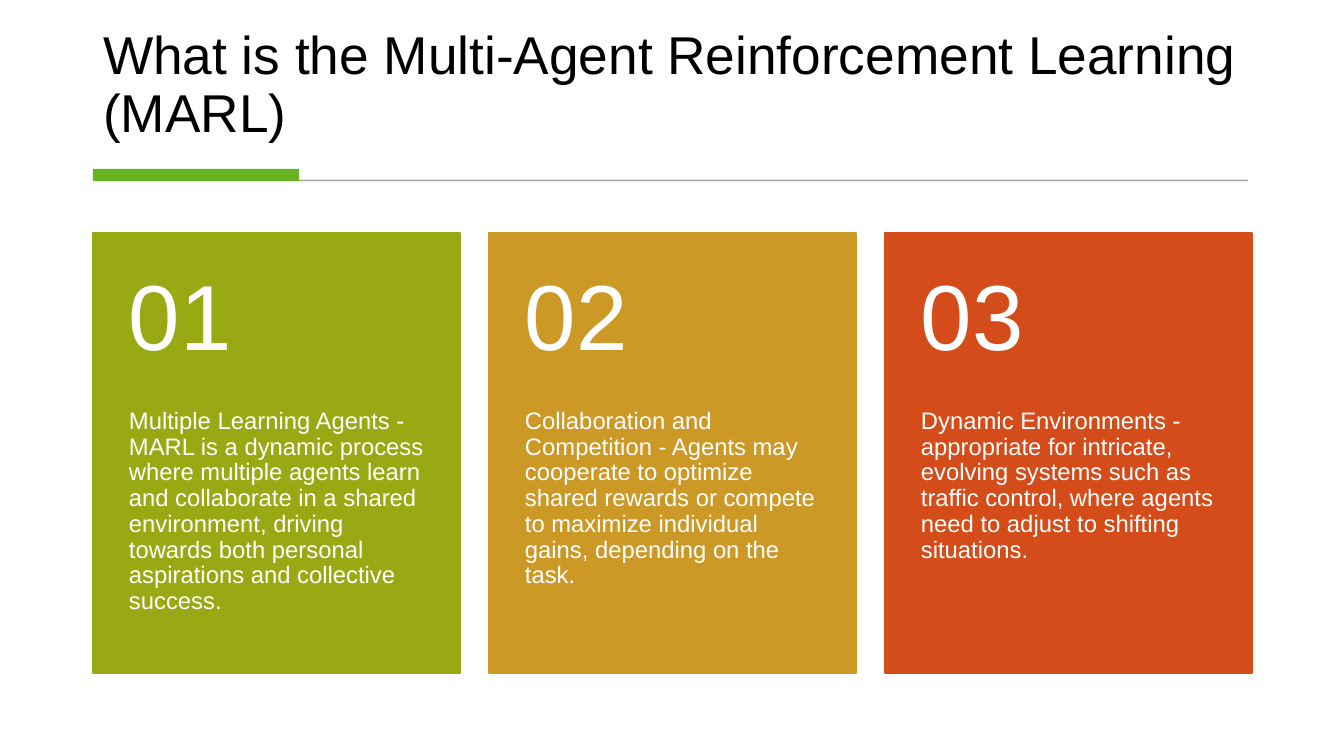
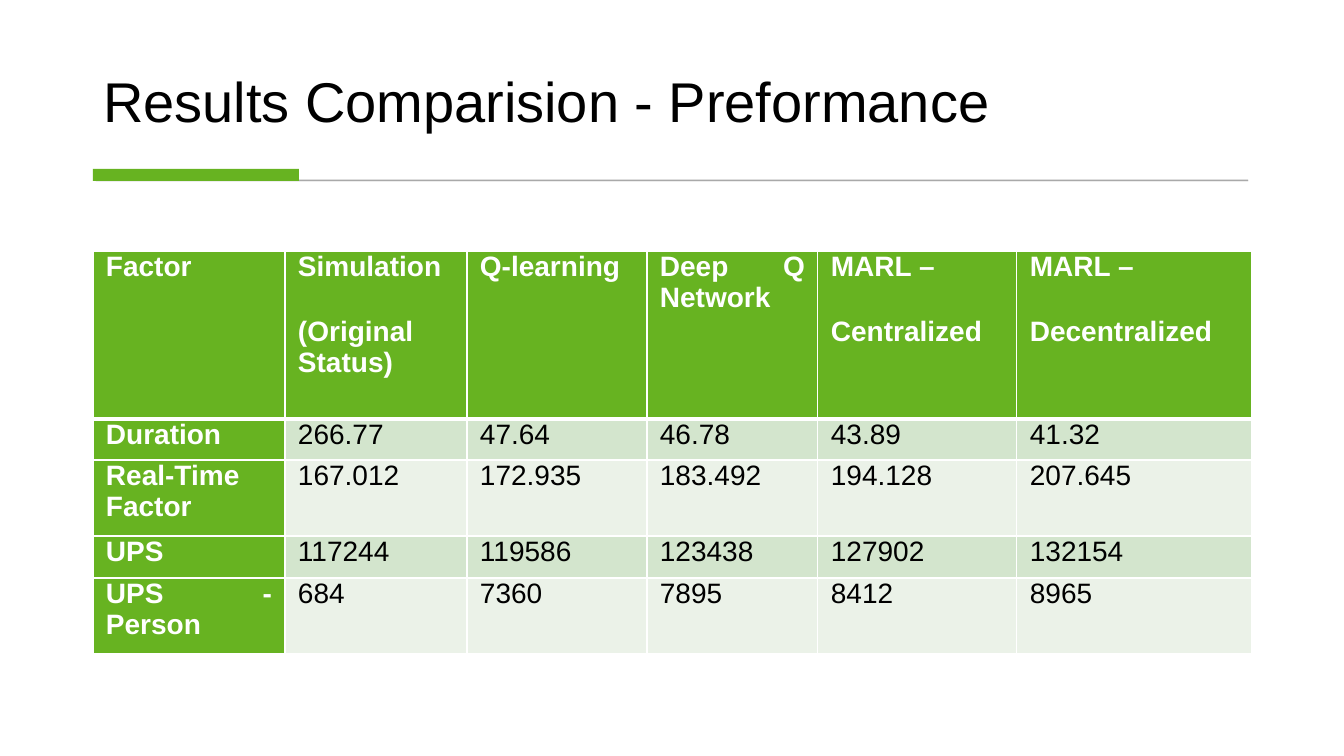
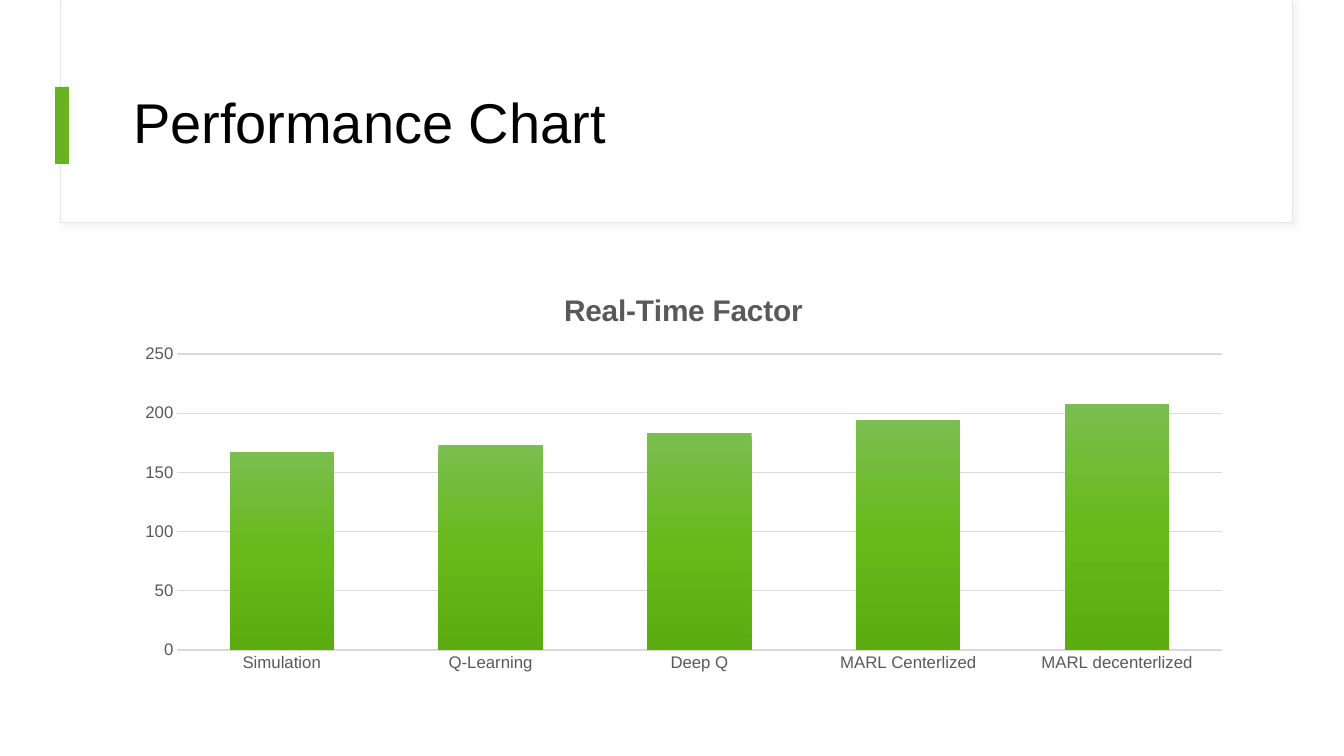
from dataclasses import dataclass
from typing import Optional

from lxml import etree
from pptx import Presentation
from pptx import util as u
from pptx.chart.data import CategoryChartData
from pptx.dml.color import RGBColor
from pptx.enum import chart as ch, shapes, text
from pptx.oxml.ns import qn

EMU_PER_PX = 914400 / 100.8
FONT = "Arial"

WHITE = RGBColor(0xFF, 0xFF, 0xFF)
BLACK = RGBColor(0x00, 0x00, 0x00)
GREEN = RGBColor(0x67, 0xB3, 0x21)
GREY = RGBColor(0x59, 0x59, 0x59)
GRID = RGBColor(0xD9, 0xD9, 0xD9)
PANEL_LINE = RGBColor(0xE4, 0xE4, 0xF0)
OLIVE = RGBColor(0x99, 0xA9, 0x14)
GOLD = RGBColor(0xCC, 0x98, 0x26)
ORANGE = RGBColor(0xD4, 0x4C, 0x19)
BANDS = (RGBColor(0xD3, 0xE5, 0xCD), RGBColor(0xEB, 0xF2, 0xE8))
BAR_STOPS = (
    (0, RGBColor(0x7A, 0xBE, 0x4F)),
    (50, RGBColor(0x67, 0xBA, 0x1A)),
    (100, RGBColor(0x5B, 0xAC, 0x10)),
)


@dataclass(frozen=True)
class Box:
    x: int
    y: int
    w: int
    h: int

    def emu(self) -> tuple[u.Emu, ...]:
        return tuple(px(v) for v in (self.x, self.y, self.w, self.h))


@dataclass(frozen=True)
class Card:
    color: RGBColor
    body: str


CARDS = (
    Card(OLIVE, "Multiple Learning Agents - MARL is a dynamic process where multiple "
                "agents learn and collaborate in a shared environment, driving towards "
                "both personal aspirations and collective success."),
    Card(GOLD, "Collaboration and Competition - Agents may cooperate to optimize shared "
               "rewards or compete to maximize individual gains, depending on the task."),
    Card(ORANGE, "Dynamic Environments - appropriate for intricate, evolving systems such "
                 "as traffic control, where agents need to adjust to shifting situations."),
)
CARD_X, CARD_Y, CARD_W, CARD_H, CARD_STEP = 93, 233, 367, 440, 396
NUMBER_H = 176
CARD_INSET = 36

RESULTS = (
    ("Factor", "Simulation\n(Original Status)", "Q-learning", "Deep Q Network",
     "MARL –\nCentralized", "MARL –\nDecentralized"),
    ("Duration", "266.77", "47.64", "46.78", "43.89", "41.32"),
    ("Real-Time Factor", "167.012", "172.935", "183.492", "194.128", "207.645"),
    ("UPS", "117244", "119586", "123438", "127902", "132154"),
    ("UPS - Person", "684", "7360", "7895", "8412", "8965"),
)
COL_WIDTHS = (192, 182, 180, 171, 199, 235)
ROW_HEIGHTS = (168, 41, 76, 42, 76)

REAL_TIME_FACTOR = {
    "Simulation": 167,
    "Q-Learning": 173,
    "Deep Q": 183,
    "MARL Centerlized": 194,
    "MARL decenterlized": 208,
}


def px(n: int) -> u.Emu:
    return u.Emu(round(n * EMU_PER_PX))


def style_font(font, size: float, color: RGBColor, bold: bool = False) -> None:
    font.name, font.size, font.bold = FONT, u.Pt(size), bold
    font.color.rgb = color


def add_run(p, words: str, size: float, color: RGBColor, bold: bool = False) -> None:
    r = p.add_run()
    r.text = words
    style_font(r.font, size, color, bold)


def add_rect(s, box: Box, fill: RGBColor, line: Optional[RGBColor] = None,
             line_pt: float = 1):
    sp = s.shapes.add_shape(shapes.MSO_SHAPE.RECTANGLE, *box.emu())
    sp.shadow.inherit = False
    sp.fill.solid()
    sp.fill.fore_color.rgb = fill
    if line is None:
        sp.line.fill.background()
    else:
        sp.line.color.rgb = line
        sp.line.width = u.Pt(line_pt)
    return sp


def add_alpha(element, percent: int) -> None:
    """Make every colour inside the element partly transparent."""
    for clr in element.iter(qn("a:srgbClr")):
        etree.SubElement(clr, qn("a:alpha"), val=str(percent * 1000))


def add_soft_shadow(sp) -> None:
    effects = sp._element.spPr.find(qn("a:effectLst"))
    shadow = etree.SubElement(effects, qn("a:outerShdw"), blurRad=str(u.Pt(4)),
                              dist=str(u.Pt(3)), dir=str(45 * 60000))
    etree.SubElement(shadow, qn("a:srgbClr"), val=str(GRID))
    add_alpha(shadow, 30)


def add_text(s, box: Box, words: str, size: float, inset_top: int, inset_bottom: int,
             anchor: text.MSO_ANCHOR) -> None:
    tf = s.shapes.add_textbox(*box.emu()).text_frame
    tf.word_wrap = True
    tf.vertical_anchor = anchor
    tf.margin_left = tf.margin_right = px(CARD_INSET)
    tf.margin_top, tf.margin_bottom = px(inset_top), px(inset_bottom)
    p = tf.paragraphs[0]
    p.line_spacing = 0.9
    add_run(p, words, size, WHITE)


def set_title(s, box: Box, words: str, size: float, anchor: text.MSO_ANCHOR) -> None:
    sp = s.shapes.title
    sp.left, sp.top, sp.width, sp.height = box.emu()
    tf = sp.text_frame
    tf.word_wrap = True
    tf.auto_size = text.MSO_AUTO_SIZE.NONE
    tf.vertical_anchor = anchor
    p = tf.paragraphs[0]
    p.alignment = text.PP_ALIGN.LEFT
    p.line_spacing = 0.9
    add_run(p, words, size, BLACK)


def add_ruled_slide(prs, title: str, title_h: int, size: float):
    """Add a slide whose title stands on a grey rule with a green tab."""
    s = prs.slides.add_slide(prs.slide_layouts[5])
    set_title(s, Box(93, 28, 1159, title_h), title, size, text.MSO_ANCHOR.BOTTOM)
    rule = add_rect(s, Box(96, 180, 1152, 1), GREY, GREY, 0.75)
    add_alpha(rule._element.spPr, 30)
    add_rect(s, Box(93, 169, 206, 12), GREEN)
    return s


def add_panel_slide(prs, title: str):
    """Add a slide whose title lies in a shadowed panel hanging from the top."""
    s = prs.slides.add_slide(prs.slide_layouts[5])
    add_soft_shadow(add_rect(s, Box(61, 0, 1232, 223), WHITE, PANEL_LINE, 0.75))
    add_rect(s, Box(62, 0, 1230, 222), WHITE)
    add_rect(s, Box(55, 87, 14, 77), GREEN)
    s.shapes._spTree.append(s.shapes.title._element)
    set_title(s, Box(123, 60, 1121, 130), title, 40, text.MSO_ANCHOR.MIDDLE)
    return s


def add_card(s, index: int, card: Card) -> None:
    x = CARD_X + index * CARD_STEP
    add_rect(s, Box(x, CARD_Y, CARD_W, CARD_H), card.color, card.color)
    add_text(s, Box(x, CARD_Y + NUMBER_H, CARD_W, CARD_H - NUMBER_H), card.body, 17,
             0, CARD_INSET, text.MSO_ANCHOR.TOP)
    add_text(s, Box(x, CARD_Y, CARD_W, NUMBER_H), f"{index + 1:02}", 66,
             CARD_INSET // 2, CARD_INSET // 2, text.MSO_ANCHOR.MIDDLE)


def set_borders(cell, **widths: float) -> None:
    """Draw white cell borders; the keys are L, R, T and B, the values points."""
    tc_pr = cell._tc.get_or_add_tcPr()
    for side, width in widths.items():
        ln = etree.SubElement(tc_pr, qn(f"a:ln{side}"), w=str(u.Pt(width)))
        fill = etree.SubElement(ln, qn("a:solidFill"))
        etree.SubElement(fill, qn("a:srgbClr"), val=str(WHITE))


def fill_cell(cell, words: str, row: int, col: int) -> None:
    heading = row == 0 or col == 0
    set_borders(cell, L=1, R=1, T=3 if row == 1 else 1, B=3 if row == 0 else 1)
    cell.fill.solid()
    cell.fill.fore_color.rgb = GREEN if heading else BANDS[(row - 1) % 2]
    cell.margin_left = cell.margin_right = px(13)
    cell.margin_top = cell.margin_bottom = 0
    tf = cell.text_frame
    for i, line in enumerate(words.split("\n")):
        p = tf.add_paragraph() if i else tf.paragraphs[0]
        p.alignment = text.PP_ALIGN.JUSTIFY
        p.space_before = u.Pt(12 if i else 0)
        p.space_after = u.Pt(12)
        add_run(p, line, 20, WHITE if heading else BLACK, heading)


def add_results_table(s) -> None:
    box = Box(93, 251, sum(COL_WIDTHS), sum(ROW_HEIGHTS))
    table = s.shapes.add_table(len(RESULTS), len(COL_WIDTHS), *box.emu()).table
    for column, width in zip(table.columns, COL_WIDTHS):
        column.width = px(width)
    for row, height in zip(table.rows, ROW_HEIGHTS):
        row.height = px(height)
    for r, values in enumerate(RESULTS):
        for c, words in enumerate(values):
            fill_cell(table.cell(r, c), words, r, c)


def set_bar_gradient(series) -> None:
    fill = series.format.fill
    fill.gradient()
    fill.gradient_angle = 270
    stops = series._element.find(".//" + qn("a:gsLst"))
    for stop in list(stops):
        stops.remove(stop)
    for percent, color in BAR_STOPS:
        gs = etree.SubElement(stops, qn("a:gs"), pos=str(percent * 1000))
        etree.SubElement(gs, qn("a:srgbClr"), val=str(color))


def add_factor_chart(s) -> None:
    name = "Real-Time Factor"
    data = CategoryChartData()
    data.categories = list(REAL_TIME_FACTOR)
    data.add_series(name, list(REAL_TIME_FACTOR.values()))
    chart = s.shapes.add_chart(ch.XL_CHART_TYPE.COLUMN_CLUSTERED,
                               *Box(123, 273, 1121, 407).emu(), data).chart
    style_font(chart.font, 10, BLACK)
    chart.has_legend = False
    chart.has_title = True
    chart.chart_title.include_in_layout = False
    add_run(chart.chart_title.text_frame.paragraphs[0], name, 21.3, GREY, True)

    plot = chart.plots[0]
    plot.vary_by_categories = False
    plot.gap_width, plot.overlap = 100, -24
    set_bar_gradient(plot.series[0])

    for axis in (chart.category_axis, chart.value_axis):
        axis.major_tick_mark = axis.minor_tick_mark = ch.XL_TICK_MARK.NONE
        style_font(axis.tick_labels.font, 12, GREY)
    chart.category_axis.format.line.color.rgb = GRID
    chart.category_axis.format.line.width = u.Pt(1)
    values = chart.value_axis
    values.minimum_scale, values.maximum_scale, values.major_unit = 0, 250, 50
    values.format.line.fill.background()
    values.major_gridlines.format.line.color.rgb = GRID
    values.major_gridlines.format.line.width = u.Pt(0.75)


def main() -> None:
    prs = Presentation()
    prs.slide_width, prs.slide_height = px(1344), px(756)

    s = add_ruled_slide(prs, "What is the Multi-Agent Reinforcement Learning (MARL)",
                        121, 38)
    for i, card in enumerate(CARDS):
        add_card(s, i, card)

    s = add_ruled_slide(prs, "Results Comparision - Preformance", 112, 40)
    add_results_table(s)

    s = add_panel_slide(prs, "Performance Chart")
    add_factor_chart(s)

    prs.save("out.pptx")


if __name__ == "__main__":
    main()
